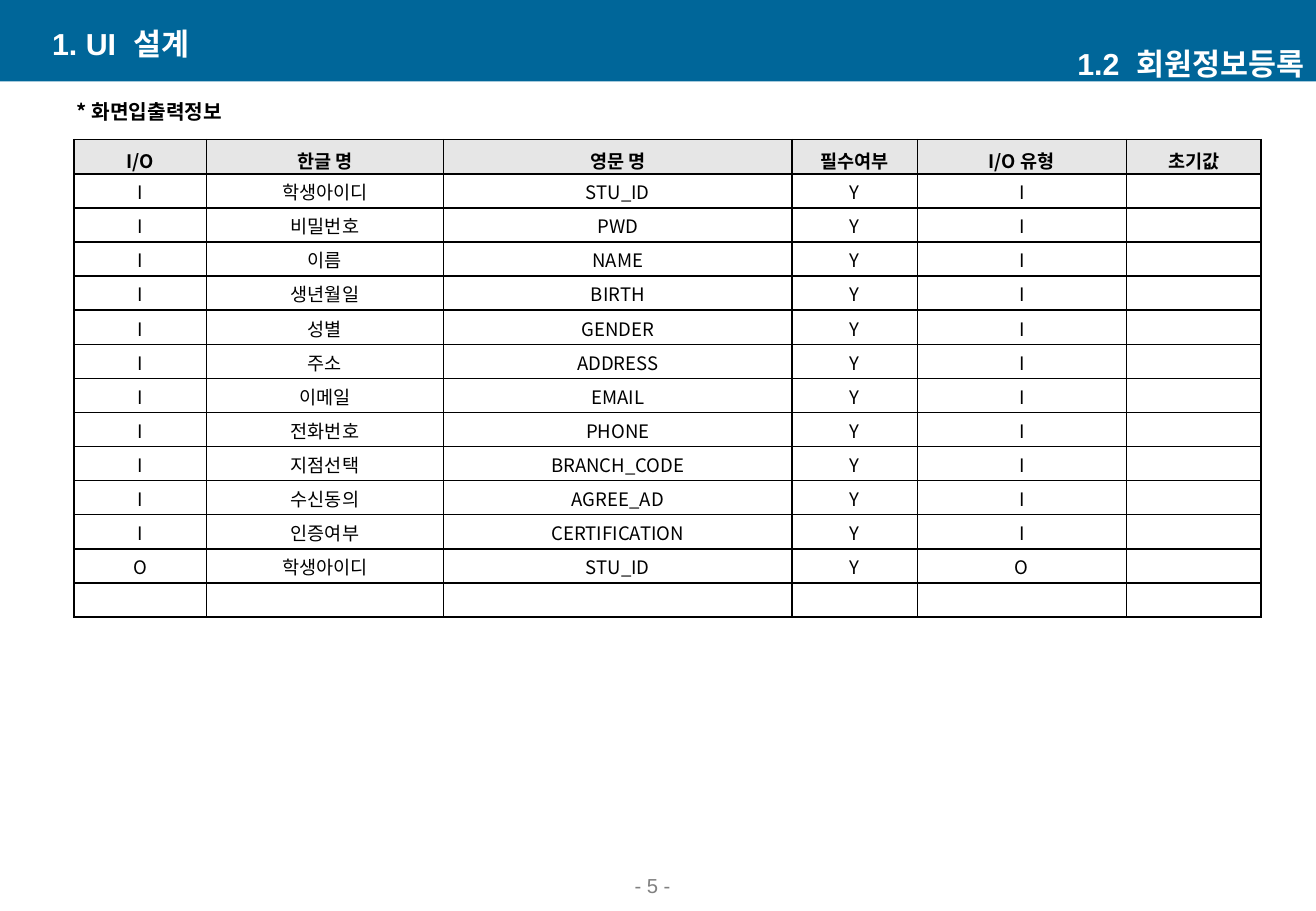
from lxml.etree import SubElement
from pptx import Presentation
from pptx.dml.color import RGBColor
from pptx.enum.shapes import MSO_SHAPE
from pptx.enum.text import MSO_ANCHOR as ANCHOR, PP_ALIGN as ALIGN
from pptx.oxml.ns import qn
from pptx.util import Inches, Pt

WIDTH, HEIGHT = 10.83, 7.5
KOREAN = "Noto Sans CJK KR"
BLUE, WHITE, BLACK, GRAY, LIGHT = "006699", "FFFFFF", "000000", "808080", "E6E6E6"

COLUMNS = [1.09, 1.95, 2.87, 1.03, 1.72, 1.11]
ROW_HEIGHT = 0.281
HEADER = ["I/O", "한글 명", "영문 명", "필수여부", "I/O 유형", "초기값"]
FIELDS = [
    ("I", "학생아이디", "STU_ID"),
    ("I", "비밀번호", "PWD"),
    ("I", "이름", "NAME"),
    ("I", "생년월일", "BIRTH"),
    ("I", "성별", "GENDER"),
    ("I", "주소", "ADDRESS"),
    ("I", "이메일", "EMAIL"),
    ("I", "전화번호", "PHONE"),
    ("I", "지점선택", "BRANCH_CODE"),
    ("I", "수신동의", "AGREE_AD"),
    ("I", "인증여부", "CERTIFICATION"),
    ("O", "학생아이디", "STU_ID"),
]


def rgb(color):
    return RGBColor.from_string(color)


def write(p, text, size, color=BLACK, bold=False, font=KOREAN, align=ALIGN.CENTER):
    p.alignment = align
    r = p.add_run()
    r.text = text
    r.font.size, r.font.bold, r.font.name = Pt(size), bold, font
    r.font.color.rgb = rgb(color)
    SubElement(r.font._element, qn("a:ea")).set("typeface", KOREAN)


def add_text(s, box, text, size, anchor=ANCHOR.MIDDLE, **fmt):
    tf = s.shapes.add_textbox(*map(Inches, box)).text_frame
    tf.word_wrap, tf.vertical_anchor = True, anchor
    write(tf.paragraphs[0], text, size, **fmt)


def add_banner(s, box):
    left, top, width, height = box
    sp = s.shapes.add_shape(MSO_SHAPE.RECTANGLE, *map(Inches, box))
    sp.shadow.inherit = False
    sp.fill.solid()
    sp.fill.fore_color.rgb = rgb(BLUE)
    sp.line.fill.background()
    title = dict(size=18, color=WHITE, bold=True, font="Arial")
    w, h = 4.38, height / 2
    add_text(s, (left + 0.33, top + 0.19, w, h), "1. UI  설계", align=ALIGN.LEFT, **title)
    add_text(s, (left + width - w, top + 0.35, w, h), "1.2  회원정보등록",
             align=ALIGN.RIGHT, **title)


def add_borders(cell):
    tc_pr = cell._tc.get_or_add_tcPr()
    for side in "LRTB":
        ln = SubElement(tc_pr, qn(f"a:ln{side}"), w=str(Pt(1)))
        SubElement(SubElement(ln, qn("a:solidFill")), qn("a:srgbClr"), val=BLACK)


def fill_cell(cell, text, header):
    add_borders(cell)
    cell.vertical_anchor = ANCHOR.MIDDLE
    cell.margin_left = cell.margin_right = Inches(0.07 if header else 0.01)
    cell.margin_top, cell.margin_bottom = Inches(0 if header else 0.01), 0
    p = cell.text_frame.paragraphs[0]
    if header:
        cell.fill.solid()
        cell.fill.fore_color.rgb = rgb(LIGHT)
        p.line_spacing = 1.27
    else:
        cell.fill.background()
    if text:
        write(p, text, 11, bold=header)
    else:
        SubElement(p._p, qn("a:endParaRPr"), sz="1100")


def add_field_table(s, left, top):
    rows = [HEADER]
    rows += [(io, korean, english, "Y", io, "") for io, korean, english in FIELDS]
    rows.append([""] * len(COLUMNS))
    box = (left, top, sum(COLUMNS), ROW_HEIGHT * len(rows))
    table = s.shapes.add_table(len(rows), len(COLUMNS), *map(Inches, box)).table
    table.first_row = table.horz_banding = False
    for column, width in zip(table.columns, COLUMNS):
        column.width = Inches(width)
    for i, texts in enumerate(rows):
        table.rows[i].height = Inches(ROW_HEIGHT)
        for j, text in enumerate(texts):
            fill_cell(table.cell(i, j), text, header=i == 0)


def main():
    prs = Presentation()
    prs.slide_width, prs.slide_height = Inches(WIDTH), Inches(HEIGHT)
    s = prs.slides.add_slide(prs.slide_layouts[6])
    add_banner(s, (0, 0, WIDTH, 0.67))
    add_text(s, (0.47, 0.77, 1.52, 0.3), "* 화면입출력정보", 12, ANCHOR.TOP, bold=True)
    add_field_table(s, 0.61, 1.15)
    add_text(s, (4.24, 7.13, 2.26, 0.31), "- 5 -", 12, ANCHOR.BOTTOM, color=GRAY, font="Arial")
    prs.save("out.pptx")


if __name__ == "__main__":
    main()
